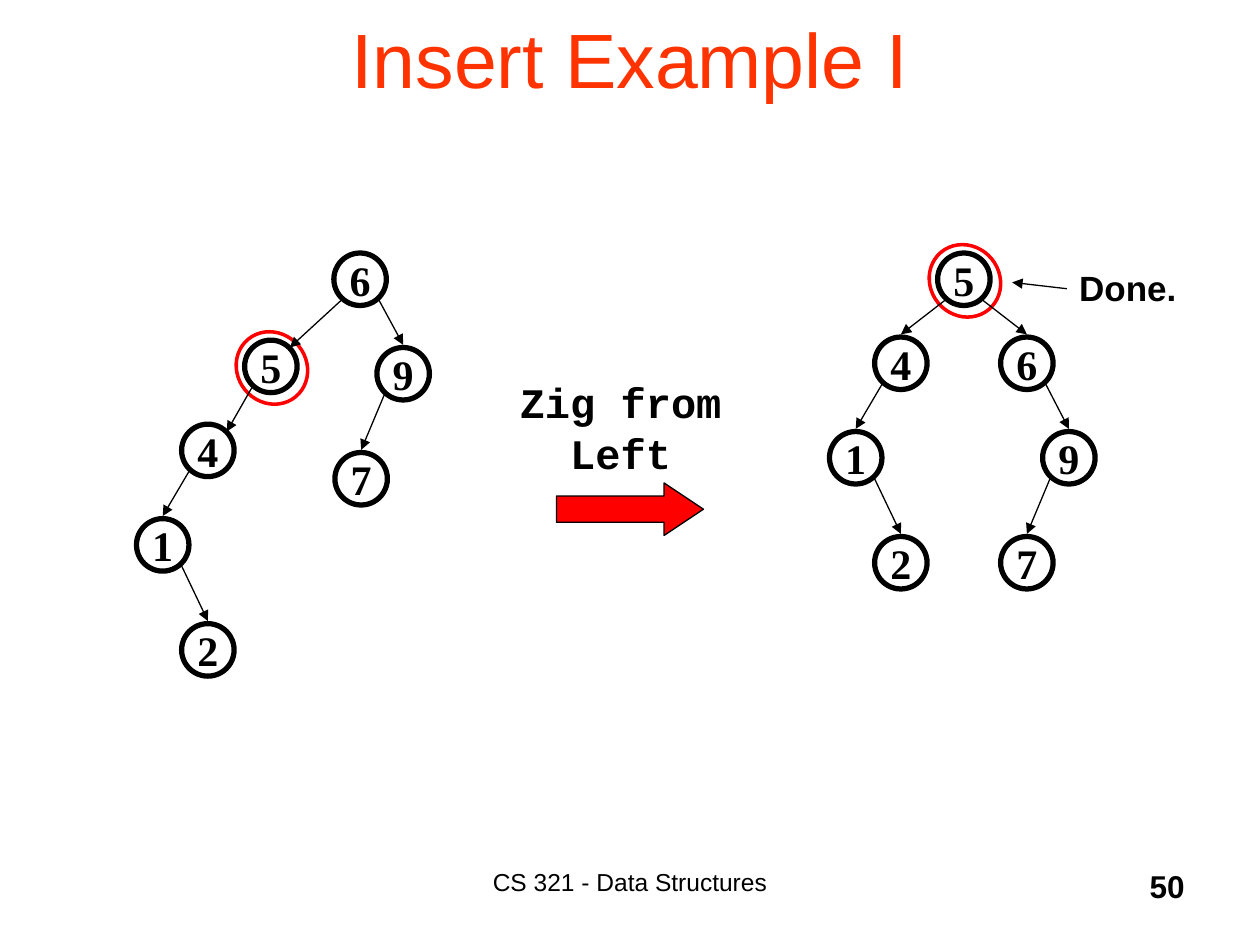
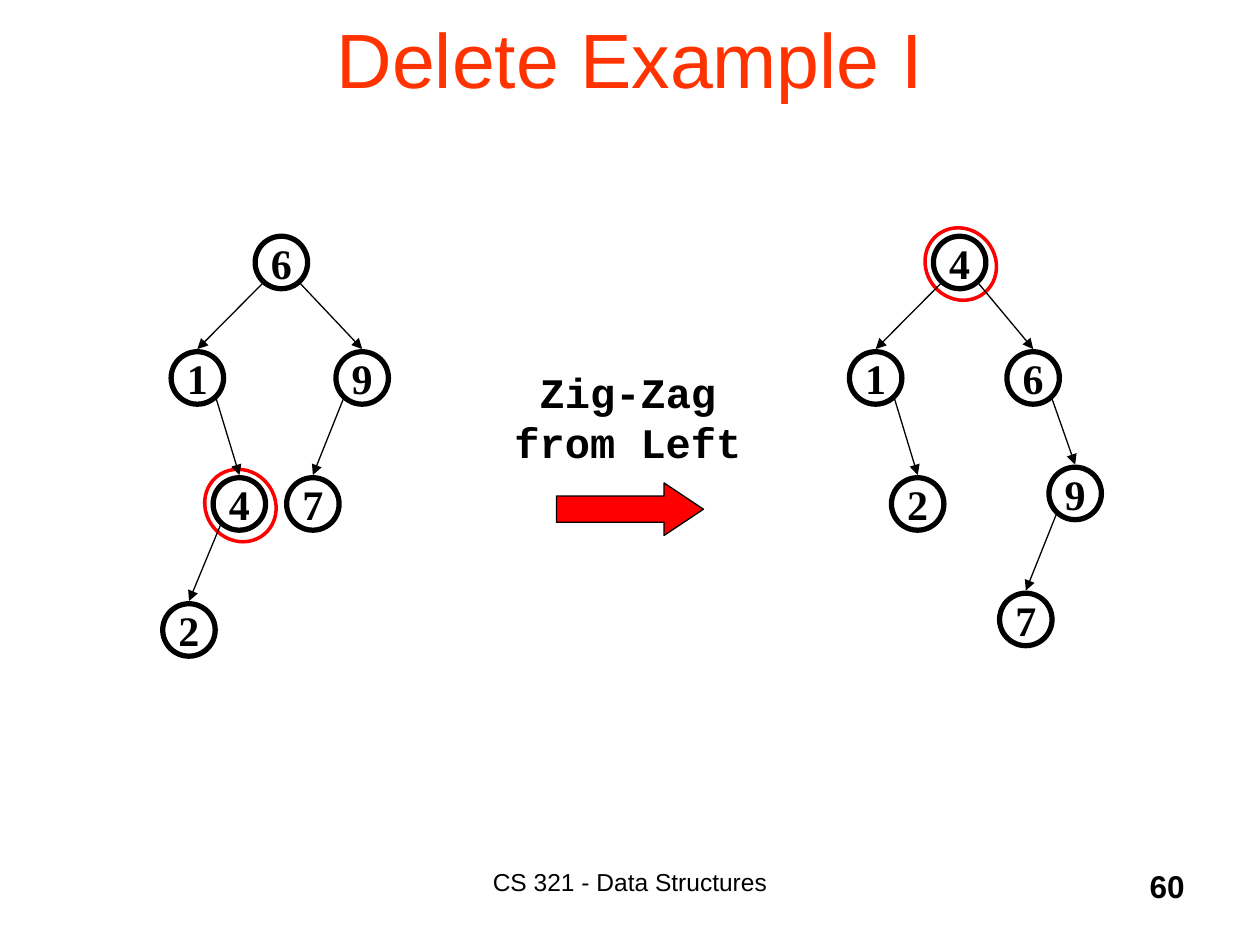
from dataclasses import dataclass

from lxml import etree
from pptx import Presentation
from pptx.dml.color import RGBColor
from pptx.enum.shapes import MSO_CONNECTOR, MSO_SHAPE
from pptx.enum.text import MSO_ANCHOR, PP_ALIGN
from pptx.oxml.ns import qn
from pptx.util import Inches, Pt

LEFT, CENTER, RIGHT = PP_ALIGN.LEFT, PP_ALIGN.CENTER, PP_ALIGN.RIGHT
TOP, MIDDLE = MSO_ANCHOR.TOP, MSO_ANCHOR.MIDDLE
ELLIPSE, BLOCK_ARROW = MSO_SHAPE.OVAL, MSO_SHAPE.RIGHT_ARROW
STRAIGHT = MSO_CONNECTOR.STRAIGHT
TITLE_ONLY = 5
COLUMNS, ROWS = 120, 90


@dataclass(frozen=True)
class Theme:
    title_color: RGBColor = RGBColor(0xFF, 0x33, 0x00)
    accent: RGBColor = RGBColor(0xFF, 0x00, 0x00)
    ink: RGBColor = RGBColor(0x00, 0x00, 0x00)
    sans: str = "Arial"
    mono: str = "Courier New"
    serif: str = "Times New Roman"
    title_size: int = 44
    node_size: int = 24
    step_size: int = 24
    note_size: int = 20
    number_size: int = 18
    footer_size: int = 14
    thin: float = 0.75
    ring_line: float = 2
    node_line: float = 3
    node_width: float = 5
    ring_width: float = 6.6
    ring_height: float = 7.1
    ring_angle: float = 320.5


class TreeDeck:
    """Draws search tree slides on a grid of 120 columns by 90 rows."""

    def __init__(self, theme):
        self.theme = theme
        self.deck = Presentation()
        self.deck.slide_width, self.deck.slide_height = Inches(10), Inches(7.5)
        self.page = None

    def place(self, column, row):
        return (round(self.deck.slide_width * column / COLUMNS),
                round(self.deck.slide_height * row / ROWS))

    def fill_text(self, shape, words, font, size, color=None, bold=False,
                  align=CENTER, anchor=TOP, wrap=True):
        frame = shape.text_frame
        frame.text = words
        frame.word_wrap = wrap
        frame.vertical_anchor = anchor
        para = frame.paragraphs[0]
        para.alignment = align
        for span in para.runs:
            span.font.name = font
            span.font.size = Pt(size)
            span.font.bold = bold
            span.font.color.rgb = color or self.theme.ink

    def add_page(self, title, number):
        theme = self.theme
        self.page = self.deck.slides.add_slide(self.deck.slide_layouts[TITLE_ONLY])
        box = self.page.shapes.title
        box.left, box.top = self.place(9, -2)
        box.width, box.height = self.place(102, 15)
        self.fill_text(box, title, theme.sans, theme.title_size, theme.title_color,
                       anchor=MIDDLE)
        self.text("CS 321 - Data Structures", (37, 82, 46, 6), theme.sans,
                  theme.footer_size)
        self.text(str(number), (89, 82, 25, 6), theme.sans, theme.number_size,
                  bold=True, align=RIGHT)

    def text(self, words, area, font, size, **style):
        box = self.page.shapes.add_textbox(*self.place(*area[:2]), *self.place(*area[2:]))
        self.fill_text(box, words, font, size, **style)

    def shape(self, shapes, kind, area, color, weight, fill=None):
        shape = shapes.add_shape(kind, *self.place(*area[:2]), *self.place(*area[2:]))
        shape.shadow.inherit = False
        if fill is None:
            shape.fill.background()
        else:
            shape.fill.solid()
            shape.fill.fore_color.rgb = fill
        shape.line.color.rgb = color
        shape.line.width = Pt(weight)
        return shape

    def arrow(self, shapes, start, end):
        connector = shapes.add_connector(STRAIGHT, *self.place(*start), *self.place(*end))
        connector.line.color.rgb = self.theme.ink
        connector.line.width = Pt(self.theme.thin)
        properties = connector._element.spPr
        etree.SubElement(properties.find(qn("a:ln")), qn("a:tailEnd"), type="triangle")
        etree.SubElement(properties, qn("a:effectLst"))

    def node(self, shapes, key, center):
        theme = self.theme
        width = theme.node_width
        area = (center[0] - width / 2, center[1] - width / 2, width, width)
        circle = self.shape(shapes, ELLIPSE, area, theme.ink, theme.node_line)
        self.fill_text(circle, str(key), theme.serif, theme.node_size, bold=True,
                       anchor=MIDDLE, wrap=False)

    def ring(self, center):
        theme = self.theme
        area = (center[0] + 0.1 - theme.ring_width / 2,
                center[1] + 0.15 - theme.ring_height / 2,
                theme.ring_width, theme.ring_height)
        ring = self.shape(self.page.shapes, ELLIPSE, area, theme.accent, theme.ring_line)
        ring.rotation = theme.ring_angle

    def edge(self, shapes, parent, child, at_shoulder):
        side = 1 if child[0] > parent[0] else -1
        start = (parent[0] + side * 1.8, parent[1] + 2)
        tip = (1.8, -1.8) if at_shoulder else (0, -2.75)
        self.arrow(shapes, start, (child[0] + tip[0], child[1] + tip[1]))

    def tree(self, centers, edges, splayed, shoulders=()):
        self.ring(centers[splayed])
        shapes = self.page.shapes.add_group_shape().shapes
        for key, center in centers.items():
            self.node(shapes, key, center)
        for parent, child in edges:
            self.edge(shapes, centers[parent], centers[child], child in shoulders)

    def step(self, words, area):
        theme = self.theme
        self.text(words, area, theme.mono, theme.step_size, bold=True)
        block = self.shape(self.page.shapes, BLOCK_ARROW, (53, 46, 14, 5),
                           theme.ink, theme.thin, theme.accent)
        block.adjustments[0], block.adjustments[1] = 0.5, 0.75

    def note(self, words, area, start, end):
        theme = self.theme
        self.text(words, area, theme.sans, theme.note_size, bold=True, align=LEFT)
        self.arrow(self.page.shapes, start, end)


def insert_page(slides):
    slides.add_page("Insert Example I", 50)
    slides.tree({6: (34.3, 26.6), 5: (25.8, 34.9), 9: (38.4, 35.6), 4: (19.8, 42.9),
                 7: (34.4, 45.6), 1: (15.5, 51.9), 2: (19.8, 61.9)},
                [(6, 5), (6, 9), (5, 4), (9, 7), (4, 1), (1, 2)],
                splayed=5, shoulders=(5, 4))
    slides.step("Zig from Left", (48, 35.3, 22.2, 10.9))
    slides.tree({5: (91.8, 26.6), 4: (85.8, 34.6), 6: (97.8, 34.6), 1: (81.5, 43.6),
                 9: (101.8, 43.6), 2: (85.8, 53.6), 7: (97.8, 53.6)},
                [(5, 4), (5, 6), (4, 1), (6, 9), (1, 2), (9, 7)], splayed=5)
    slides.note("Done.", (101.6, 24.8, 12, 5.3), (101.6, 27.5), (96.4, 26.9))


def delete_page(slides):
    slides.add_page("Delete Example I", 60)
    slides.tree({6: (26.8, 25), 1: (18.8, 36), 9: (34.5, 36), 4: (22.8, 48),
                 7: (29.8, 48), 2: (18, 60)},
                [(6, 1), (6, 9), (1, 4), (9, 7), (4, 2)], splayed=4)
    slides.step("Zig-Zag from Left", (47.5, 34.3, 24.6, 10.9))
    slides.tree({4: (91.4, 25), 1: (83.4, 36), 6: (98.4, 36), 2: (87.4, 48),
                 9: (102.4, 47), 7: (97.7, 59)},
                [(4, 1), (4, 6), (1, 2), (6, 9), (9, 7)], splayed=4)


def main():
    slides = TreeDeck(Theme())
    insert_page(slides)
    delete_page(slides)
    slides.deck.save("out.pptx")


if __name__ == "__main__":
    main()
